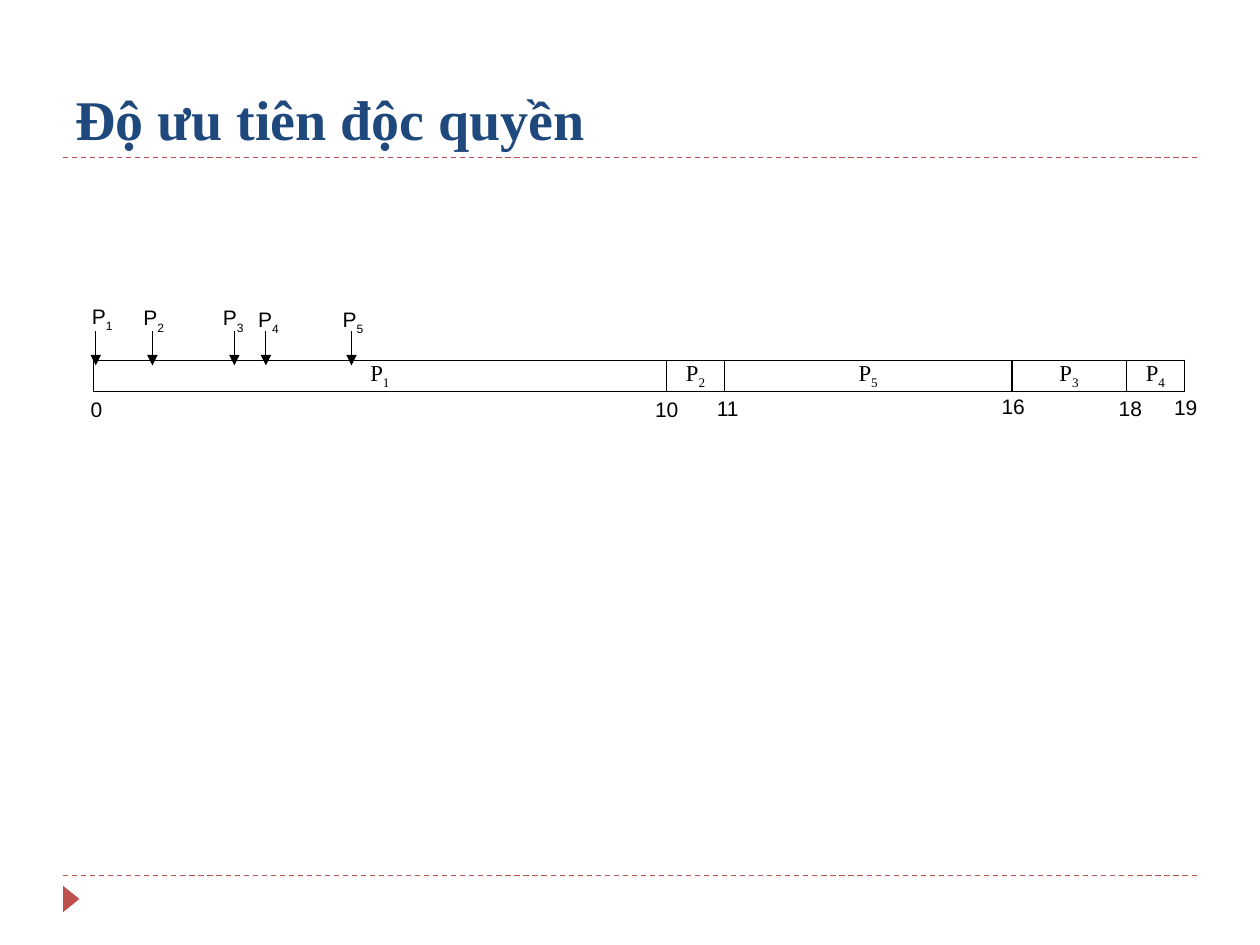
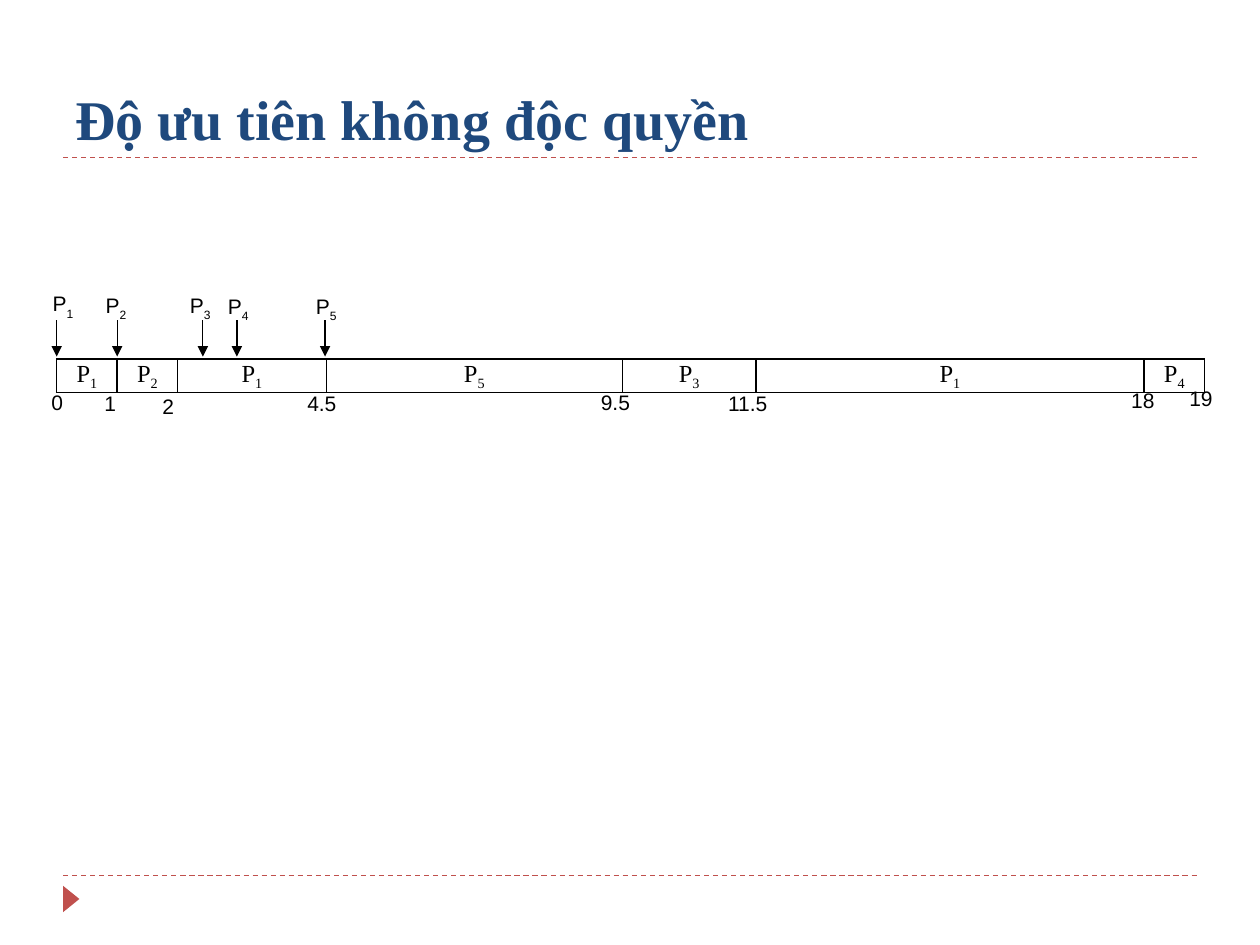
from lxml import etree
from pptx import Presentation
from pptx.dml.color import RGBColor
from pptx.enum import dml, shapes, text
from pptx.oxml import ns
from pptx.util import Pt

PX = 9144
WHITE = RGBColor(0xFF, 0xFF, 0xFF)
BLACK = RGBColor(0x00, 0x00, 0x00)
RED = RGBColor(0xC0, 0x50, 0x4D)
NAVY = RGBColor(0x1F, 0x49, 0x7D)
SERIF, SANS = "Times New Roman", "Arial"
FRAME = (50, 17, 900, 678)
TITLE_H = 108
LABEL_DROPS = (0, 1, 1, 2, 2)

SCHEDULES = [
    dict(
        title="Độ ưu tiên độc quyền",
        box=(74, 286, 866, 22),
        size=13, inset=8,
        bursts=[(1, 455), (2, 46), (5, 228), (3, 91), (4, 46)],
        ticks=[("0", -12, 24, 42), ("10", 436, 24, 49), ("11", 485, 23, 42),
               ("16", 711, 21, 52), ("18", 804, 23, 44), ("19", 848, 22, 44)],
        arrows=(2, 47, 112, 137, 205), arrow_span=(-23, 4),
        labels=(-11, 30, 93, 121, 188), label_top=-50, label_size=42,
    ),
    dict(
        title="Độ ưu tiên không độc quyền",
        box=(45, 285, 910, 23),
        size=14, inset=9,
        bursts=[(1, 48), (2, 48), (1, 118), (5, 235), (3, 106), (1, 308), (4, 48)],
        ticks=[("0", -14, 19, 44), ("1", 28, 20, 44), ("2", 74, 22, 44),
               ("4.5", 189, 20, 51), ("9.5", 422, 19, 55), ("11.5", 523, 20, 71),
               ("18", 843, 18, 46), ("19", 889, 16, 45)],
        arrows=(0, 48, 116, 143, 213), arrow_span=(-31, -2),
        labels=(-13, 29, 96, 126, 196), label_top=-59, label_size=44,
    ),
]


def emu(*lengths):
    """Turn px lengths into EMU."""
    return [n * PX for n in lengths]


def add_run(p, words, font, size, color=BLACK, bold=False, baseline=None):
    """Add one formatted run to a paragraph."""
    r = p.add_run()
    r.text = words
    r.font.name, r.font.size, r.font.bold = font, Pt(size), bold
    r.font.color.rgb = color
    if baseline:
        r.font._element.set("baseline", str(baseline * 1000))


def add_process(p, number, font, size, baseline):
    """Write a process name with its subscript number."""
    add_run(p, "P", font, size)
    add_run(p, str(number), font, size, baseline=baseline)


def add_box(s, box, anchor=text.MSO_ANCHOR.TOP):
    """Add a wrapping text box and return its first paragraph."""
    tf = s.shapes.add_textbox(*emu(*box)).text_frame
    tf.word_wrap = True
    tf.vertical_anchor = anchor
    return tf.paragraphs[0]


def add_line(s, start, end, color, dash=None, arrow=False):
    """Draw a thin straight line, dashed or with an arrowhead."""
    sp = s.shapes.add_connector(shapes.MSO_CONNECTOR.STRAIGHT, *emu(*start, *end))
    sp.line.color.rgb, sp.line.width = color, Pt(0.75)
    if dash:
        sp.line.dash_style = dash
    if arrow:
        etree.SubElement(sp.line._get_or_add_ln(), ns.qn("a:tailEnd"), type="triangle")
    etree.SubElement(sp._element.spPr, ns.qn("a:effectLst"))


def add_frame(s, box, title):
    """Draw the title, both dashed rules and the corner marker."""
    x, y, w, h = box
    for rule_y in (y + h, y + TITLE_H):
        add_line(s, (x, rule_y), (x + w, rule_y), RED, dash=dml.MSO_LINE.DASH)
    marker = s.shapes.add_shape(shapes.MSO_SHAPE.ISOSCELES_TRIANGLE,
                                *emu(x - 4, y + h + 12, 21, 13))
    marker.rotation = 90
    marker.shadow.inherit = False
    marker.fill.solid()
    marker.fill.fore_color.rgb = RED
    marker.line.fill.background()
    p = add_box(s, (x, y, w, TITLE_H), text.MSO_ANCHOR.BOTTOM)
    add_run(p, title, SERIF, 32, NAVY, bold=True)


def add_borders(cell):
    """Give a cell thin black borders on all sides."""
    tc_pr = cell._tc.get_or_add_tcPr()
    for side in ("lnL", "lnR", "lnT", "lnB"):
        ln = etree.SubElement(tc_pr, ns.qn(f"a:{side}"), w=str(Pt(1)))
        fill = etree.SubElement(ln, ns.qn("a:solidFill"))
        etree.SubElement(fill, ns.qn("a:srgbClr"), val=str(BLACK))


def add_bursts(s, box, bursts, size, inset):
    """Draw the CPU bursts as a one-row table."""
    table = s.shapes.add_table(1, len(bursts), *emu(*box)).table
    table.first_row = table.horz_banding = False
    for i, (process, width) in enumerate(bursts):
        table.columns[i].width = width * PX
        cell = table.cell(0, i)
        add_borders(cell)
        cell.fill.background()
        cell.vertical_anchor = text.MSO_ANCHOR.MIDDLE
        cell.margin_left = cell.margin_right = inset * PX
        cell.margin_top = cell.margin_bottom = 0
        p = cell.text_frame.paragraphs[0]
        p.alignment = text.PP_ALIGN.CENTER
        add_process(p, process, SERIF, size, -25)


def add_arrivals(s, box, plan):
    """Draw an arrow and a label for each arriving process."""
    x, y = box[:2]
    top, bottom = plan["arrow_span"]
    side = plan["label_size"]
    arrivals = zip(plan["arrows"], plan["labels"], LABEL_DROPS)
    for process, (arrow_x, label_x, drop) in enumerate(arrivals, 1):
        add_line(s, (x + arrow_x, y + top), (x + arrow_x, y + bottom), BLACK, arrow=True)
        p = add_box(s, (x + label_x, y + plan["label_top"] + drop, side, side))
        add_process(p, process, SANS, 12, -30)


def add_ticks(s, box, ticks):
    """Write the times under the chart."""
    x, y = box[:2]
    for time, dx, dy, width in ticks:
        add_run(add_box(s, (x + dx, y + dy, width, 29)), time, SANS, 12)


def add_schedule(prs, plan):
    """Add one scheduling slide."""
    s = prs.slides.add_slide(prs.slide_layouts[6])
    s.background.fill.solid()
    s.background.fill.fore_color.rgb = WHITE
    box = plan["box"]
    add_frame(s, FRAME, plan["title"])
    add_bursts(s, box, plan["bursts"], plan["size"], plan["inset"])
    add_ticks(s, box, plan["ticks"])
    add_arrivals(s, box, plan)


def main():
    """Build and save the slides."""
    prs = Presentation()
    prs.slide_width, prs.slide_height = emu(1000, 750)
    for plan in SCHEDULES:
        add_schedule(prs, plan)
    prs.save("out.pptx")


if __name__ == "__main__":
    main()
